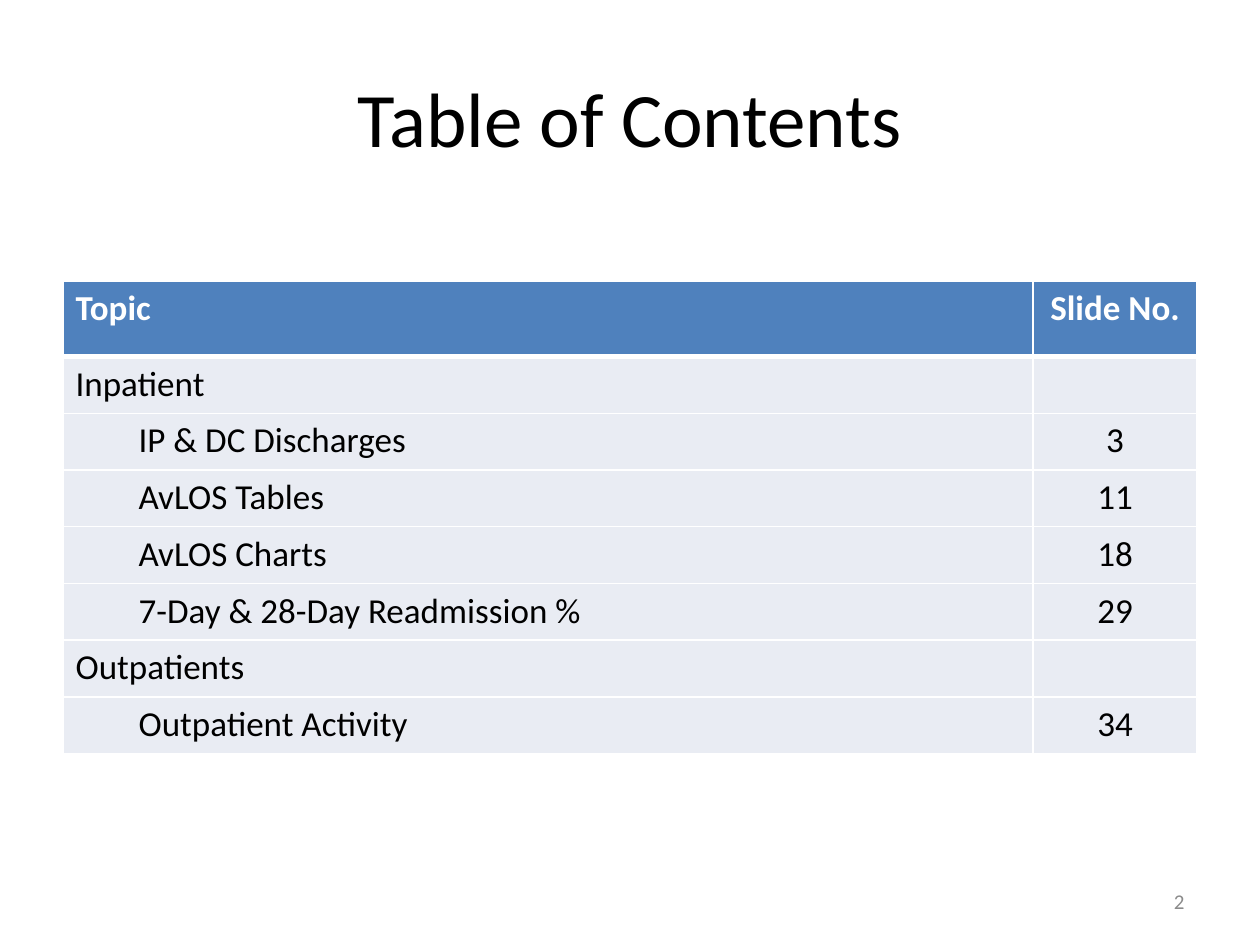
from dataclasses import dataclass

from lxml import etree
from pptx import Presentation
from pptx.dml.color import RGBColor
from pptx.enum.text import MSO_ANCHOR, PP_ALIGN
from pptx.oxml.ns import qn
from pptx.util import Inches, Pt

LEFT, CENTER, RIGHT = PP_ALIGN.LEFT, PP_ALIGN.CENTER, PP_ALIGN.RIGHT
MIDDLE = MSO_ANCHOR.MIDDLE
TITLE_ONLY = 5

HEADINGS = ("Topic", "Slide No.")
TOPICS = (
    ("Inpatient", ""),
    ("IP & DC Discharges", "3"),
    ("AvLOS Tables", "11"),
    ("AvLOS Charts", "18"),
    ("7-Day & 28-Day Readmission %", "29"),
    ("Outpatients", ""),
    ("Outpatient Activity", "34"),
)


@dataclass(frozen=True)
class Theme:
    font: str = "Calibri"
    text: str = "000000"
    light: str = "FFFFFF"
    muted: str = "8B8B8B"
    header: str = "4F81BD"
    band: str = "E9ECF3"
    title_size: int = 44
    table_size: int = 20
    number_size: int = 12
    thin: float = 0.96
    thick: float = 3


class SlideBuilder:
    """Adds styled elements to one slide."""

    def __init__(self, slide, theme):
        self.slide = slide
        self.theme = theme

    def format(self, paragraph, size, color, alignment=LEFT, bold=False):
        paragraph.alignment = alignment
        font = paragraph.font
        font.name = self.theme.font
        font.size = Pt(size)
        font.bold = bold
        font.color.rgb = RGBColor.from_string(color)

    def title(self, text, left, top, width, height):
        shape = self.slide.shapes.title
        shape.left, shape.top = Inches(left), Inches(top)
        shape.width, shape.height = Inches(width), Inches(height)
        shape.text_frame.text = text
        shape.text_frame.vertical_anchor = MIDDLE
        self.format(shape.text_frame.paragraphs[0], self.theme.title_size, self.theme.text, CENTER)

    def slide_number(self, text, left, top, width, height):
        shape = self.slide.shapes.add_textbox(Inches(left), Inches(top), Inches(width), Inches(height))
        frame = shape.text_frame
        frame.word_wrap = True
        frame.vertical_anchor = MIDDLE
        frame.text = text
        self.format(frame.paragraphs[0], self.theme.number_size, self.theme.muted, RIGHT)

    def borders(self, cell, top, bottom):
        properties = cell._tc.get_or_add_tcPr()
        thin = self.theme.thin
        sides = (("a:lnL", thin), ("a:lnR", thin), ("a:lnT", top), ("a:lnB", bottom))
        for position, (tag, points) in enumerate(sides):
            line = etree.Element(qn(tag), w=str(Pt(points)))
            fill = etree.SubElement(line, qn("a:solidFill"))
            etree.SubElement(fill, qn("a:srgbClr"), val=self.theme.light)
            properties.insert(position, line)

    def cell(self, cell, text, row, column):
        theme = self.theme
        is_header = row == 0
        cell.text = text
        cell.fill.solid()
        cell.fill.fore_color.rgb = RGBColor.from_string(theme.header if is_header else theme.band)
        self.format(
            cell.text_frame.paragraphs[0],
            theme.table_size,
            theme.light if is_header else theme.text,
            CENTER if column else LEFT,
            is_header,
        )
        self.borders(
            cell,
            theme.thick if row == 1 else theme.thin,
            theme.thick if is_header else theme.thin,
        )

    def contents_table(self, headings, topics, left, top, widths, header_height, row_height):
        rows = (headings, *topics)
        heights = [header_height] + [row_height] * len(topics)
        frame = self.slide.shapes.add_table(
            len(rows), len(widths), Inches(left), Inches(top), Inches(sum(widths)), Inches(sum(heights))
        )
        table = frame.table
        for column, width in zip(table.columns, widths):
            column.width = Inches(width)
        for row, (values, height) in enumerate(zip(rows, heights)):
            table.rows[row].height = Inches(height)
            for column, text in enumerate(values):
                self.cell(table.cell(row, column), text, row, column)
            if row and values[1]:
                paragraph = table.cell(row, 0).text_frame.paragraphs[0]
                paragraph._p.get_or_add_pPr().set("marL", str(Inches(0.5)))


def main():
    presentation = Presentation()
    presentation.slide_width, presentation.slide_height = Inches(10), Inches(7.5)
    slide = presentation.slides.add_slide(presentation.slide_layouts[TITLE_ONLY])
    builder = SlideBuilder(slide, Theme())
    builder.title("Table of Contents", 0.5, 0.3, 9, 1.25)
    builder.contents_table(HEADINGS, TOPICS, 0.5, 2.23, (7.7, 1.3), 0.6, 0.45)
    builder.slide_number("2", 7.17, 6.95, 2.33, 0.4)
    presentation.save("out.pptx")


if __name__ == "__main__":
    main()
